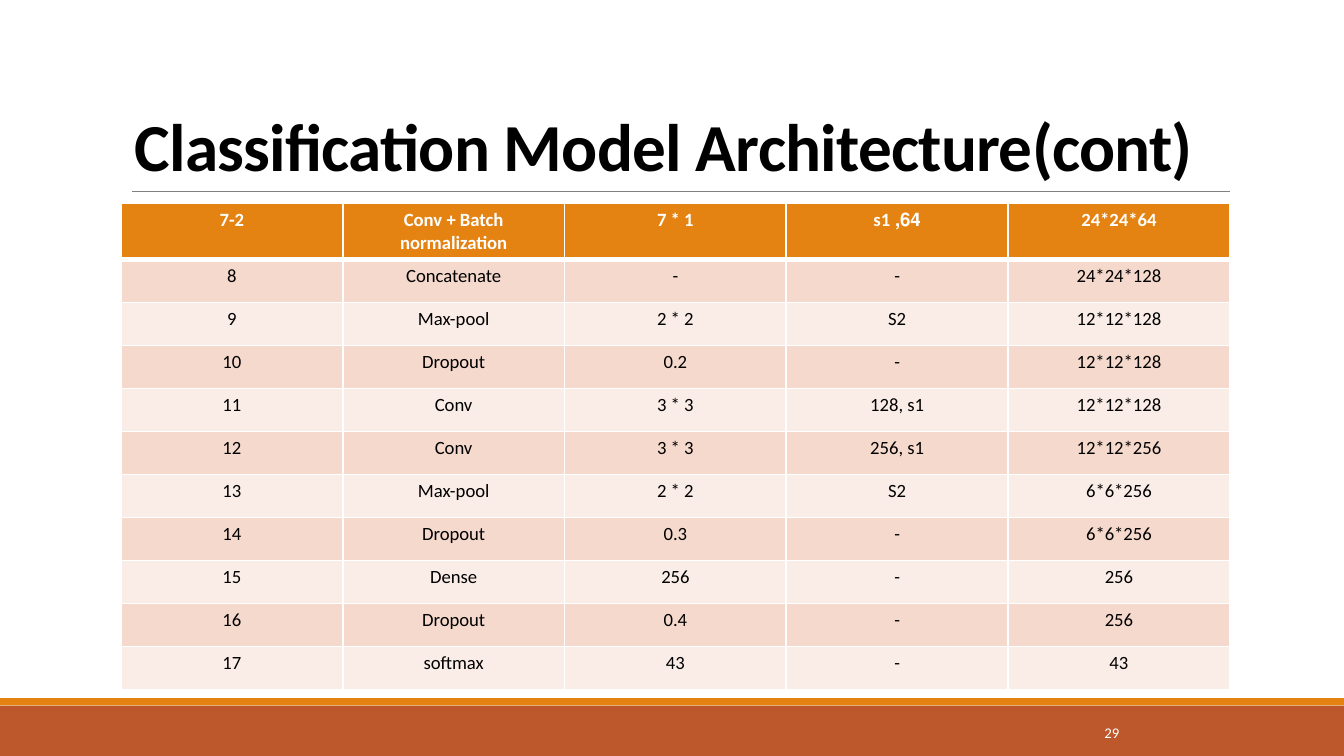
from pptx import Presentation
from pptx.dml.color import RGBColor
from pptx.enum.shapes import MSO_CONNECTOR, MSO_SHAPE
from pptx.enum.text import MSO_ANCHOR, PP_ALIGN
from pptx.oxml.ns import qn
from pptx.util import Pt
from lxml.etree import SubElement

# Content
TITLE = "Classification Model Architecture(cont)"
PAGE_NUMBER = "29"
LAYERS = [
    ("7-2", "Conv + Batch normalization", "7 * 1", "64, s1", "24*24*64"),
    ("8", "Concatenate", "-", "-", "24*24*128"),
    ("9", "Max-pool", "2 * 2", "S2", "12*12*128"),
    ("10", "Dropout", "0.2", "-", "12*12*128"),
    ("11", "Conv", "3 * 3", "128, s1", "12*12*128"),
    ("12", "Conv", "3 * 3", "256, s1", "12*12*256"),
    ("13", "Max-pool", "2 * 2", "S2", "6*6*256"),
    ("14", "Dropout", "0.3", "-", "6*6*256"),
    ("15", "Dense", "256", "-", "256"),
    ("16", "Dropout", "0.4", "-", "256"),
    ("17", "softmax", "43", "-", "43"),
]
RIGHT_TO_LEFT = {(0, 1), (0, 3)}  # header cells, as (row, column)

THEME = {
    "font": "Calibri",
    "title_size": 36, "cell_size": 10, "number_size": 7.9,
    "black": "000000", "white": "FFFFFF", "rule": "808080",
    "orange": "E48312", "rust": "BD582C",
    "bands": ("FAEDE7", "F5D9CC"),
}

# Layout, in points
PAGE_WIDTH, PAGE_HEIGHT = 720, 405
LEFT, CONTENT_WIDTH = 64.8, 594
TABLE_TOP, HEADER_HEIGHT, ROW_HEIGHT = 108.9, 30.24, 23.04
RULE_LEFT, RULE_TOP = 70.6, 102.7
STRIPE_TOP, FOOTER_TOP = 374.1, 378


def color(name):
    return RGBColor.from_string(THEME.get(name, name))


def write(frame, text, *, size, ink, bold=False, align=PP_ALIGN.LEFT,
          spacing=None, tracking=None, rtl=False):
    para = frame.paragraphs[0]
    para.alignment = align
    if spacing:
        para.line_spacing = spacing
    if rtl:
        para._p.get_or_add_pPr().set("rtl", "1")
    span = para.add_run()
    span.text = text
    font = span.font
    font.name, font.size, font.bold = THEME["font"], Pt(THEME[size]), bold
    font.color.rgb = color(ink)
    if tracking:
        span._r.get_or_add_rPr().set("spc", str(round(tracking * 100)))


def add_band(page, top, height, fill):
    band = page.shapes.add_shape(MSO_SHAPE.RECTANGLE, 0, Pt(top), Pt(PAGE_WIDTH), Pt(height))
    band.shadow.inherit = False
    band.fill.solid()
    band.fill.fore_color.rgb = color(fill)
    band.line.fill.background()


def set_borders(cell, **widths):
    properties = cell._tc.get_or_add_tcPr()
    for side, width in widths.items():
        line = SubElement(properties, qn(f"a:ln{side}"), w=str(Pt(width)))
        fill = SubElement(line, qn("a:solidFill"))
        SubElement(fill, qn("a:srgbClr"), val=THEME["white"])


def add_layer_table(page):
    rows, columns = len(LAYERS), len(LAYERS[0])
    height = HEADER_HEIGHT + ROW_HEIGHT * (rows - 1)
    table = page.shapes.add_table(rows, columns, Pt(LEFT), Pt(TABLE_TOP),
                                  Pt(CONTENT_WIDTH), Pt(height)).table
    for column in table.columns:
        column.width = Pt(CONTENT_WIDTH / columns)
    for r, layer in enumerate(LAYERS):
        header = r == 0
        table.rows[r].height = Pt(HEADER_HEIGHT if header else ROW_HEIGHT)
        for c, text in enumerate(layer):
            cell = table.cell(r, c)
            cell.margin_top = cell.margin_bottom = Pt(2.9)
            set_borders(cell, L=1, R=1, T=3 if r == 1 else 1, B=3 if header else 1)
            cell.fill.solid()
            cell.fill.fore_color.rgb = color("orange" if header else THEME["bands"][r % 2])
            write(cell.text_frame, text, size="cell_size",
                  ink="white" if header else "black", bold=header,
                  align=PP_ALIGN.CENTER, rtl=(r, c) in RIGHT_TO_LEFT)


def main():
    deck = Presentation()
    deck.slide_width, deck.slide_height = Pt(PAGE_WIDTH), Pt(PAGE_HEIGHT)
    page = deck.slides.add_slide(deck.slide_layouts[5])
    page.background.fill.solid()
    page.background.fill.fore_color.rgb = color("white")

    # Footer bands
    add_band(page, FOOTER_TOP, PAGE_HEIGHT - FOOTER_TOP, "rust")
    add_band(page, STRIPE_TOP, FOOTER_TOP - STRIPE_TOP, "orange")

    # Rule under the title
    rule = page.shapes.add_connector(MSO_CONNECTOR.STRAIGHT, Pt(RULE_LEFT), Pt(RULE_TOP),
                                     Pt(LEFT + CONTENT_WIDTH), Pt(RULE_TOP))
    rule.line.color.rgb = color("rule")
    rule.line.width = Pt(0.5)
    SubElement(rule._element.spPr, qn("a:effectLst"))

    # Title
    title = page.shapes.title
    title.left, title.top = Pt(LEFT), Pt(17.3)
    title.width, title.height = Pt(CONTENT_WIDTH), Pt(85.4)
    title.text_frame.vertical_anchor = MSO_ANCHOR.BOTTOM
    write(title.text_frame, TITLE, size="title_size", ink="black", bold=True,
          spacing=0.85, tracking=-0.4)

    add_layer_table(page)

    # Page number
    box = page.shapes.add_textbox(Pt(584.6), Pt(381.6), Pt(77.8), Pt(21.6))
    box.text_frame.word_wrap = True
    box.text_frame.vertical_anchor = MSO_ANCHOR.MIDDLE
    write(box.text_frame, PAGE_NUMBER, size="number_size", ink="white")

    deck.save("out.pptx")


if __name__ == "__main__":
    main()
